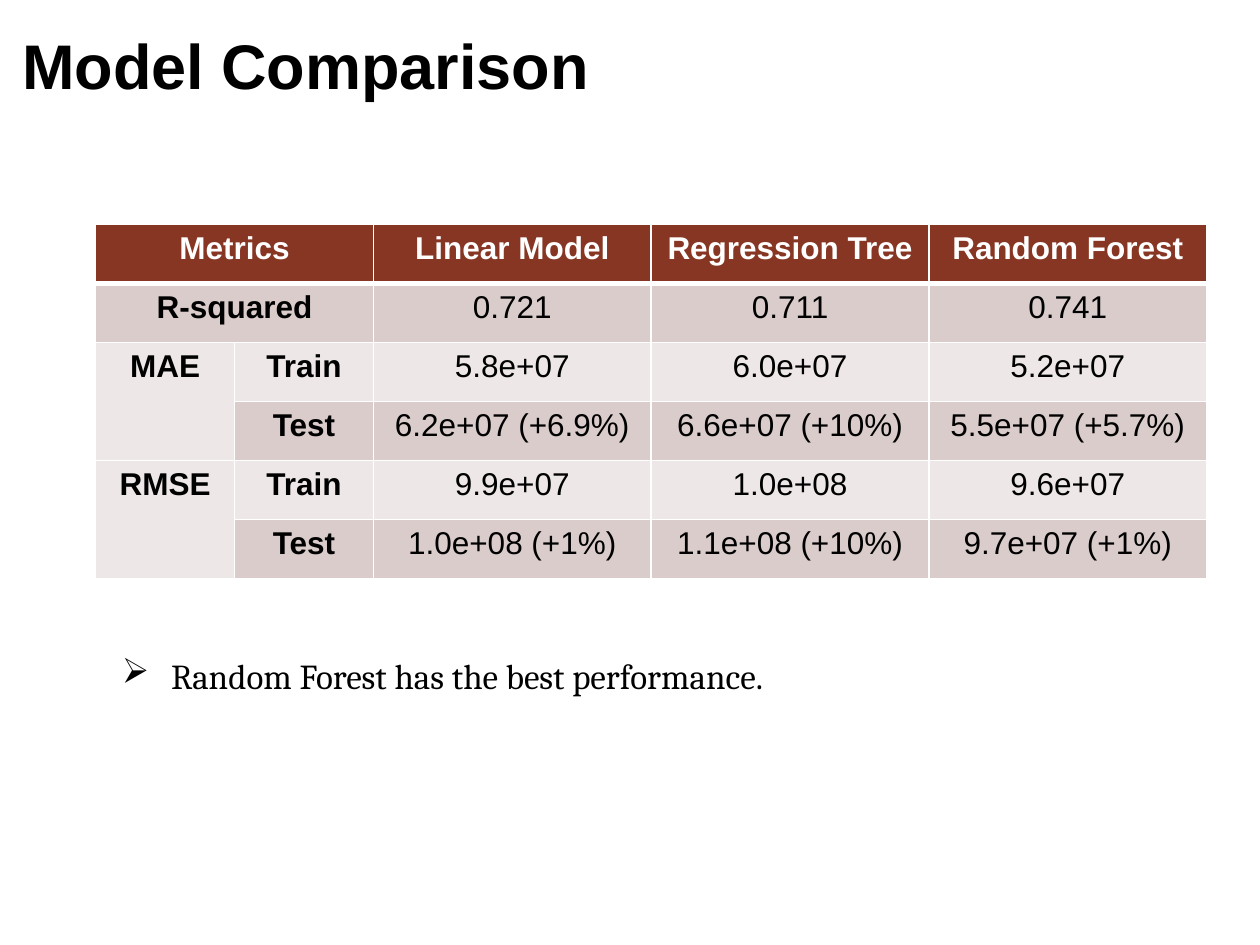
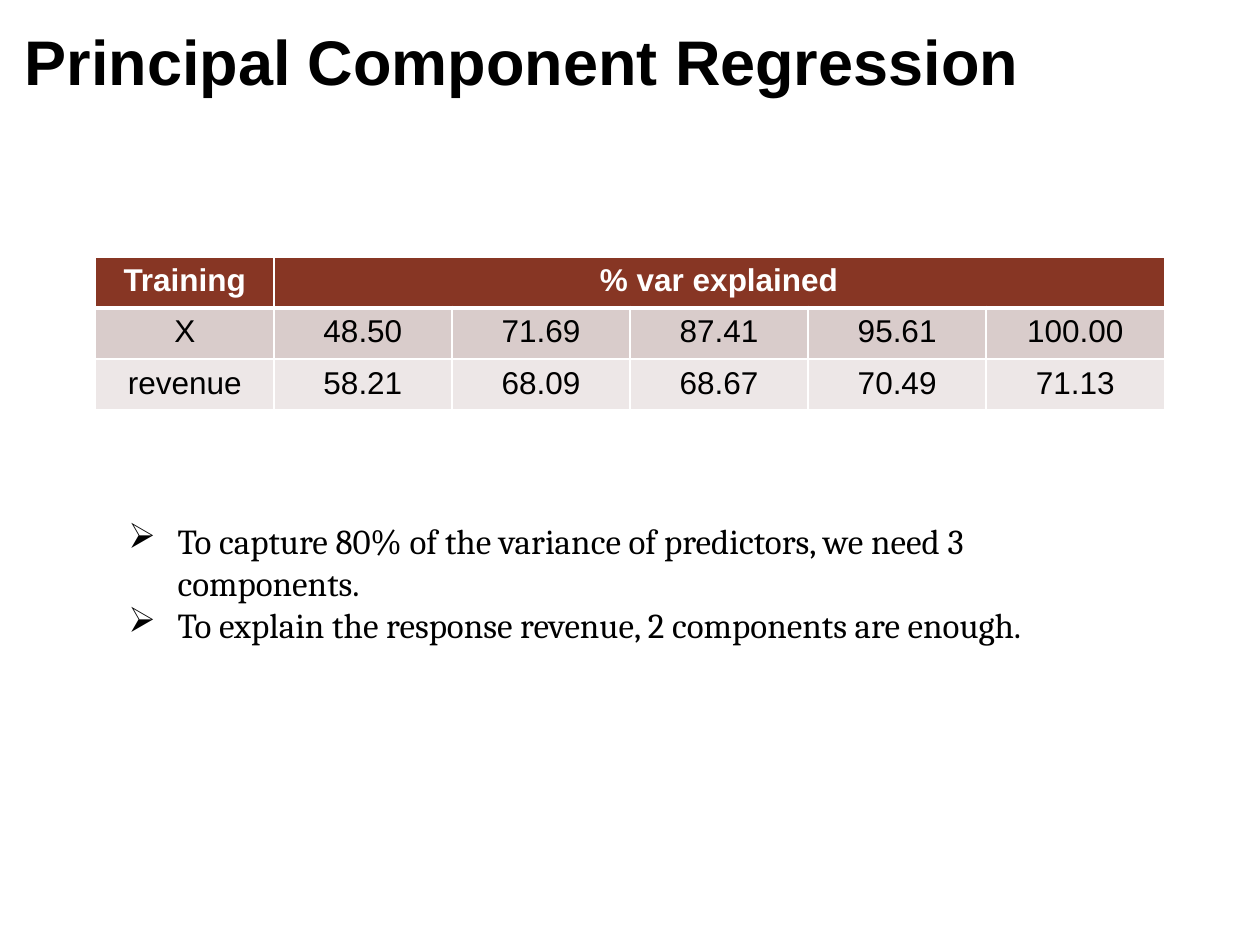
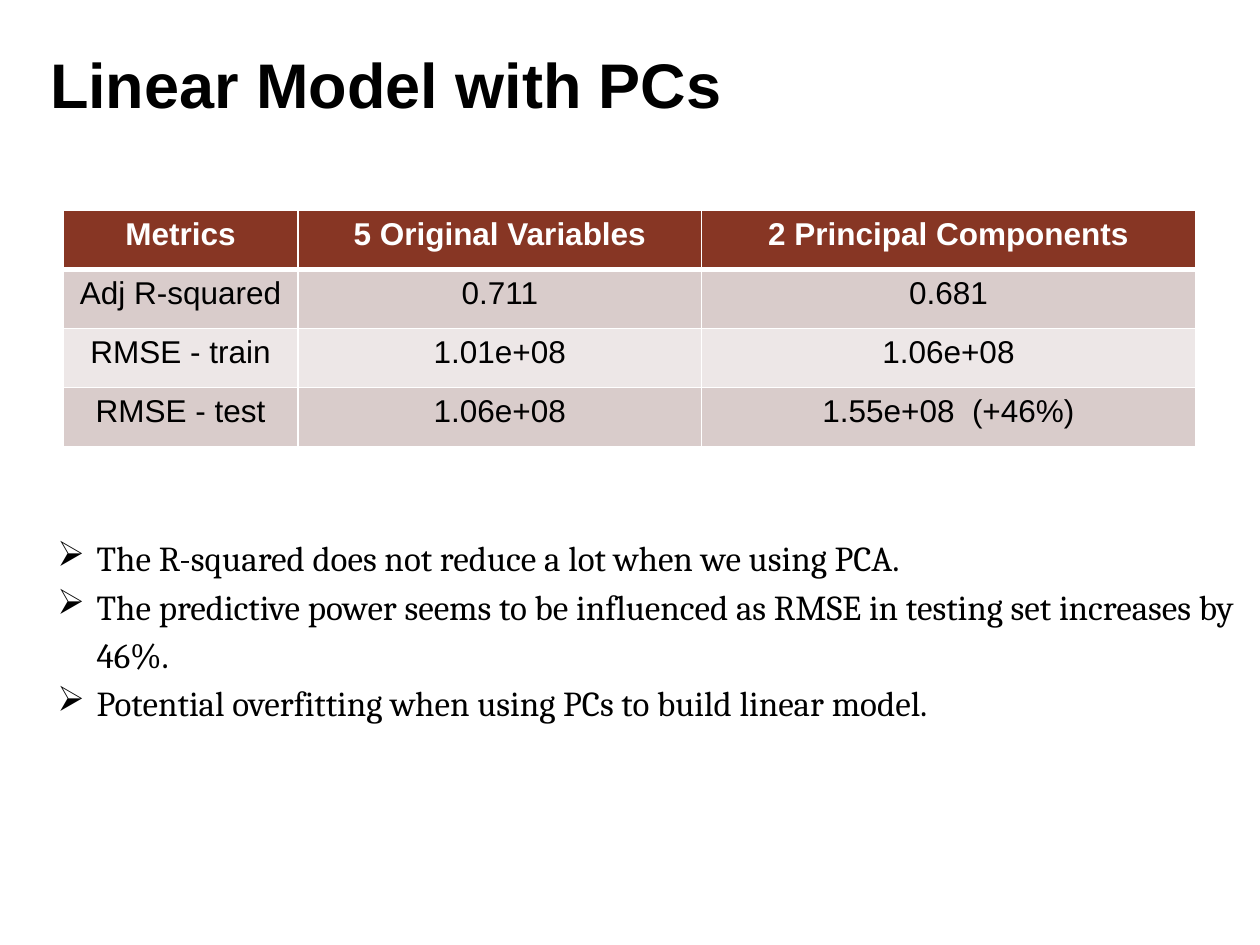
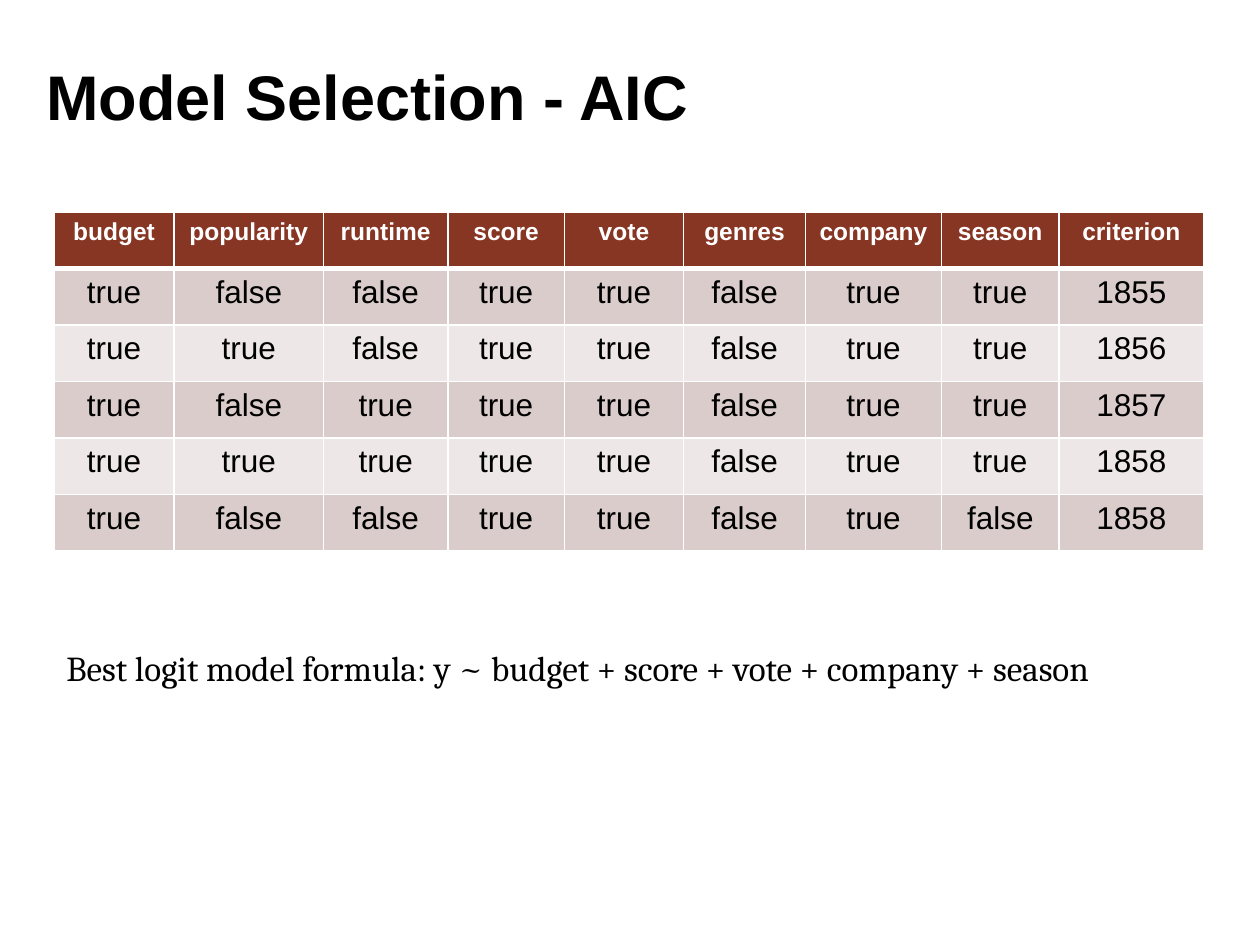
from dataclasses import dataclass

from lxml import etree
from pptx import Presentation
from pptx.dml.color import RGBColor
from pptx.enum.text import MSO_ANCHOR, PP_ALIGN
from pptx.oxml.ns import qn
from pptx.util import Cm, Pt

TOP = MSO_ANCHOR.TOP
LEFT, CENTER = PP_ALIGN.LEFT, PP_ALIGN.CENTER

COLORS = {
    "text": "000000",
    "header": "873624",
    "header_text": "FFFFFF",
    "border": "FFFFFF",
    "dark_band": "D9CCCB",
    "light_band": "EDE7E7",
}
HEADING_FONT, BODY_FONT = "Arial", "Cambria"
BLANK_LAYOUT = 6
BULLET = "➢"
THIN, THICK = Pt(1), Pt(3)


@dataclass(frozen=True)
class Frame:
    """Place and size of a box, in centimetres."""
    left: float
    top: float
    width: float
    height: float


@dataclass(frozen=True)
class Span:
    """Merged cells, from the first to the last (row, column)."""
    first: tuple[int, int]
    last: tuple[int, int]


@dataclass(frozen=True)
class Grid:
    left: float
    top: float
    widths: tuple[float, ...]
    row_height: float
    rows: tuple[tuple[str, ...], ...]
    spans: tuple[Span, ...] = ()
    bold_columns: int = 0
    header_size: int = 18


@dataclass(frozen=True)
class Notes:
    """Remarks under a table; indent and hanging are in centimetres."""
    frame: Frame
    lines: tuple[str, ...]
    indent: float = 1.27
    hanging: float = 0.99
    spacing: float = 1.0
    bulleted: bool = True


@dataclass(frozen=True)
class Page:
    title: str
    title_frame: Frame
    grid: Grid
    notes: Notes


PAGES = (
    Page(
        "Model Comparison",
        Frame(0.2, 0.28, 21.54, 1.98),
        Grid(
            1.93, 4.52, (2.8, 2.8, 5.6, 5.6, 5.6), 1.19,
            (
                ("Metrics", "", "Linear Model", "Regression Tree", "Random Forest"),
                ("R-squared", "", "0.721", "0.711", "0.741"),
                ("MAE", "Train", "5.8e+07", "6.0e+07", "5.2e+07"),
                ("", "Test", "6.2e+07 (+6.9%)", "6.6e+07 (+10%)", "5.5e+07 (+5.7%)"),
                ("RMSE", "Train", "9.9e+07", "1.0e+08", "9.6e+07"),
                ("", "Test", "1.0e+08 (+1%)", "1.1e+08 (+10%)", "9.7e+07 (+1%)"),
            ),
            spans=(
                Span((0, 0), (0, 1)),
                Span((1, 0), (1, 1)),
                Span((2, 0), (3, 0)),
                Span((4, 0), (5, 0)),
            ),
            bold_columns=2,
        ),
        Notes(
            Frame(1.93, 13.06, 20.83, 1.32),
            ("Random Forest has the best performance.",),
        ),
    ),
    Page(
        "Principal Component Regression",
        Frame(0.25, 0.2, 22.05, 2.11),
        Grid(
            1.93, 5.18, (3.59,) * 6, 1.03,
            (
                ("Training", "% var explained", "", "", "", ""),
                ("X", "48.50", "71.69", "87.41", "95.61", "100.00"),
                ("revenue", "58.21", "68.09", "68.67", "70.49", "71.13"),
            ),
            spans=(Span((0, 1), (0, 5)),),
        ),
        Notes(
            Frame(2.06, 10.34, 21.39, 4.55),
            (
                "To capture 80% of the variance of predictors, we need 3 components.",
                "To explain the response revenue, 2 components are enough.",
            ),
        ),
    ),
    Page(
        "Linear Model with PCs",
        Frame(0.76, 0.66, 21.54, 1.96),
        Grid(
            1.27, 4.24, (4.74, 8.13, 9.96), 1.19,
            (
                ("Metrics", "5 Original Variables", "2 Principal Components"),
                ("Adj R-squared", "0.711", "0.681"),
                ("RMSE - train", "1.01e+08", "1.06e+08"),
                ("RMSE - test", "1.06e+08", "1.55e+08  (+46%)"),
            ),
        ),
        Notes(
            Frame(0.91, 10.57, 24.28, 4.67),
            (
                "The R-squared does not reduce a lot when we using PCA.",
                "The predictive power seems to be influenced as RMSE in testing set "
                "increases by 46%.",
                "Potential overfitting when using PCs to build linear model.",
            ),
            indent=0.79,
            hanging=0.84,
            spacing=1.15,
        ),
    ),
    Page(
        "Model Selection - AIC",
        Frame(0.69, 0.91, 21.54, 1.88),
        Grid(
            1.09, 4.27, (2.42, 3.01, 2.51, 2.35, 2.4, 2.46, 2.74, 2.37, 2.92), 1.14,
            (
                ("budget", "popularity", "runtime", "score", "vote",
                 "genres", "company", "season", "criterion"),
                ("true", "false", "false", "true", "true", "false", "true", "true", "1855"),
                ("true", "true", "false", "true", "true", "false", "true", "true", "1856"),
                ("true", "false", "true", "true", "true", "false", "true", "true", "1857"),
                ("true", "true", "true", "true", "true", "false", "true", "true", "1858"),
                ("true", "false", "false", "true", "true", "false", "true", "false", "1858"),
            ),
            header_size=14,
        ),
        Notes(
            Frame(1.09, 12.9, 23.39, 1.02),
            ("Best logit model formula: y ~ budget + score + vote + company + season",),
            bulleted=False,
        ),
    ),
)


def rgb(name: str) -> RGBColor:
    return RGBColor.from_string(COLORS[name])


def write(para, text: str, *, size: int, font: str = HEADING_FONT, color: str = "text",
          bold: bool = False, align=LEFT, spacing: float = 1.0) -> None:
    para.alignment = align
    para.line_spacing = spacing
    span = para.add_run()
    span.text = text
    span.font.name = font
    span.font.size = Pt(size)
    span.font.bold = bold
    span.font.color.rgb = rgb(color)


def add_color(parent, tag: str, color: str) -> None:
    holder = etree.SubElement(parent, qn(tag))
    etree.SubElement(holder, qn("a:srgbClr"), val=COLORS[color])


def add_bullet(para, indent: float, hanging: float) -> None:
    properties = para._p.get_or_add_pPr()
    properties.set("marL", str(Cm(indent)))
    properties.set("indent", str(-Cm(hanging)))
    add_color(properties, "a:buClr", "text")
    etree.SubElement(properties, qn("a:buChar"), char=BULLET)


def add_text_frame(slide, frame: Frame):
    box = slide.shapes.add_textbox(
        Cm(frame.left), Cm(frame.top), Cm(frame.width), Cm(frame.height))
    box.text_frame.word_wrap = True
    box.text_frame.vertical_anchor = TOP
    return box.text_frame


def add_title(slide, title: str, frame: Frame) -> None:
    text_frame = add_text_frame(slide, frame)
    text_frame.margin_top = Cm(0.25)
    write(text_frame.paragraphs[0], title, size=36, bold=True)


def add_notes(slide, notes: Notes) -> None:
    text_frame = add_text_frame(slide, notes.frame)
    for index, line in enumerate(notes.lines):
        para = text_frame.add_paragraph() if index else text_frame.paragraphs[0]
        if notes.bulleted:
            add_bullet(para, notes.indent, notes.hanging)
        write(para, line, size=20, font=BODY_FONT, spacing=notes.spacing)


def set_borders(cell, is_header: bool) -> None:
    """Outline a cell; must run before its fill is set."""
    properties = cell._tc.get_or_add_tcPr()
    sides = {"a:lnL": THIN, "a:lnR": THIN}
    if is_header:
        sides["a:lnT"] = THIN
    sides["a:lnB"] = THICK if is_header else THIN
    for tag, width in sides.items():
        line = etree.SubElement(properties, qn(tag), w=str(width))
        add_color(line, "a:solidFill", "border")


def add_grid(slide, grid: Grid) -> None:
    table = slide.shapes.add_table(
        len(grid.rows), len(grid.widths), Cm(grid.left), Cm(grid.top),
        Cm(sum(grid.widths)), Cm(grid.row_height * len(grid.rows))).table
    for column, width in zip(table.columns, grid.widths):
        column.width = Cm(width)
    for row_index, texts in enumerate(grid.rows):
        table.rows[row_index].height = Cm(grid.row_height)
        is_header = row_index == 0
        band = "header" if is_header else "dark_band" if row_index % 2 else "light_band"
        for column_index, text in enumerate(texts):
            cell = table.cell(row_index, column_index)
            set_borders(cell, is_header)
            cell.fill.solid()
            cell.fill.fore_color.rgb = rgb(band)
            if text:
                write(cell.text_frame.paragraphs[0], text, align=CENTER,
                      size=grid.header_size if is_header else 18,
                      color="header_text" if is_header else "text",
                      bold=is_header or column_index < grid.bold_columns)
    for span in grid.spans:
        table.cell(*span.first).merge(table.cell(*span.last))


def main() -> None:
    deck = Presentation()
    deck.slide_width, deck.slide_height = Cm(25.4), Cm(19.05)
    for page in PAGES:
        slide = deck.slides.add_slide(deck.slide_layouts[BLANK_LAYOUT])
        add_grid(slide, page.grid)
        add_notes(slide, page.notes)
        add_title(slide, page.title, page.title_frame)
    deck.save("out.pptx")


if __name__ == "__main__":
    main()
